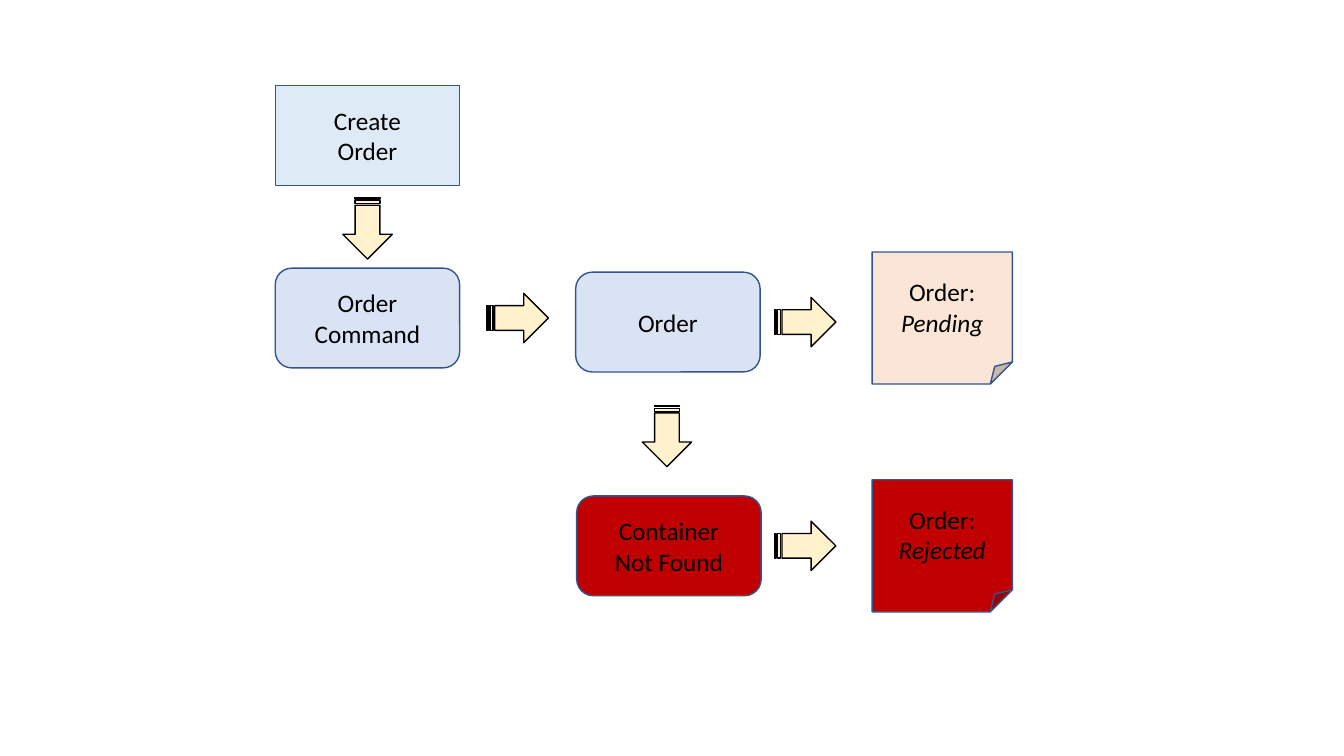
"""Draw the order creation flow with its pending and rejected outcomes."""
from typing import NamedTuple

from pptx import Presentation
from pptx import util as u
from pptx.dml.color import RGBColor
from pptx.enum import shapes, text

BLACK = RGBColor(0x00, 0x00, 0x00)
OUTLINE = RGBColor(0x32, 0x54, 0x91)
PALE_BLUE = RGBColor(0xDE, 0xEB, 0xF7)
LAVENDER = RGBColor(0xDA, 0xE3, 0xF3)
PEACH = RGBColor(0xFB, 0xE5, 0xD6)
RED = RGBColor(0xC0, 0x00, 0x00)
CREAM = RGBColor(0xFF, 0xF2, 0xCC)

RECT = shapes.MSO_SHAPE.RECTANGLE
ROUND = shapes.MSO_SHAPE.ROUNDED_RECTANGLE
NOTE = shapes.MSO_SHAPE.FOLDED_CORNER
ARROW = shapes.MSO_SHAPE.STRIPED_RIGHT_ARROW
SIZES = {RECT: (1.83, 0.99), ROUND: (1.83, 0.99), NOTE: (1.39, 1.31), ARROW: (0.61, 0.49)}


class Step(NamedTuple):
    kind: shapes.MSO_SHAPE
    left: float
    top: float
    fill: RGBColor
    label: str
    status: str = ""


class Arrow(NamedTuple):
    left: float
    top: float
    rotation: int = 0


STEPS = [
    Step(RECT, 2.73, 0.85, PALE_BLUE, "Create\nOrder"),
    Step(ROUND, 2.73, 2.66, LAVENDER, "Order Command"),
    Step(ROUND, 5.71, 2.7, LAVENDER, "Order"),
    Step(ROUND, 5.72, 4.92, RED, "Container\nNot Found"),
    Step(NOTE, 8.65, 2.5, PEACH, "Order:", "Pending"),
    Step(NOTE, 8.65, 4.76, RED, "Order:", "Rejected"),
]
ARROWS = [
    Arrow(3.34, 2.02, 90),
    Arrow(6.31, 4.08, 90),
    Arrow(7.68, 2.95),
    Arrow(4.83, 2.91),
    Arrow(7.68, 5.17),
]


def add_preset(s, kind: shapes.MSO_SHAPE, left: float, top: float, fill: RGBColor, line: RGBColor):
    """Add a filled, outlined shape of the size set for its kind."""
    sp = s.shapes.add_shape(kind, *map(u.Inches, (left, top, *SIZES[kind])))
    sp.shadow.inherit = False
    sp.fill.solid()
    sp.fill.fore_color.rgb = fill
    sp.line.color.rgb = line
    sp.line.width = u.Pt(1)
    return sp


def write_paragraph(p, content: str, italic: bool = False) -> None:
    """Write centred black text, with a line break at each newline."""
    p.alignment = text.PP_ALIGN.CENTER
    for i, part in enumerate(content.split("\n")):
        if i:
            p.add_line_break()
        r = p.add_run()
        r.text = part
        r.font.name = "Calibri"
        r.font.size = u.Pt(18)
        r.font.color.rgb = BLACK
        if italic:
            r.font.italic = True


def add_step(s, step: Step) -> None:
    """Add one labelled step, with its status in italics if it has one."""
    sp = add_preset(s, step.kind, step.left, step.top, step.fill, OUTLINE)
    tf = sp.text_frame
    tf.word_wrap = True
    tf.vertical_anchor = text.MSO_ANCHOR.MIDDLE
    write_paragraph(tf.paragraphs[0], step.label)
    if step.status:
        write_paragraph(tf.add_paragraph(), step.status, italic=True)


def add_arrow(s, arrow: Arrow) -> None:
    """Add one striped arrow between steps."""
    sp = add_preset(s, ARROW, arrow.left, arrow.top, CREAM, BLACK)
    sp.rotation = arrow.rotation


def main() -> None:
    """Build and save the slide."""
    prs = Presentation()
    prs.slide_width, prs.slide_height = u.Inches(13.33), u.Inches(7.5)
    s = prs.slides.add_slide(prs.slide_layouts[6])
    for step in STEPS:
        add_step(s, step)
    for arrow in ARROWS:
        add_arrow(s, arrow)
    prs.save("out.pptx")


if __name__ == "__main__":
    main()
